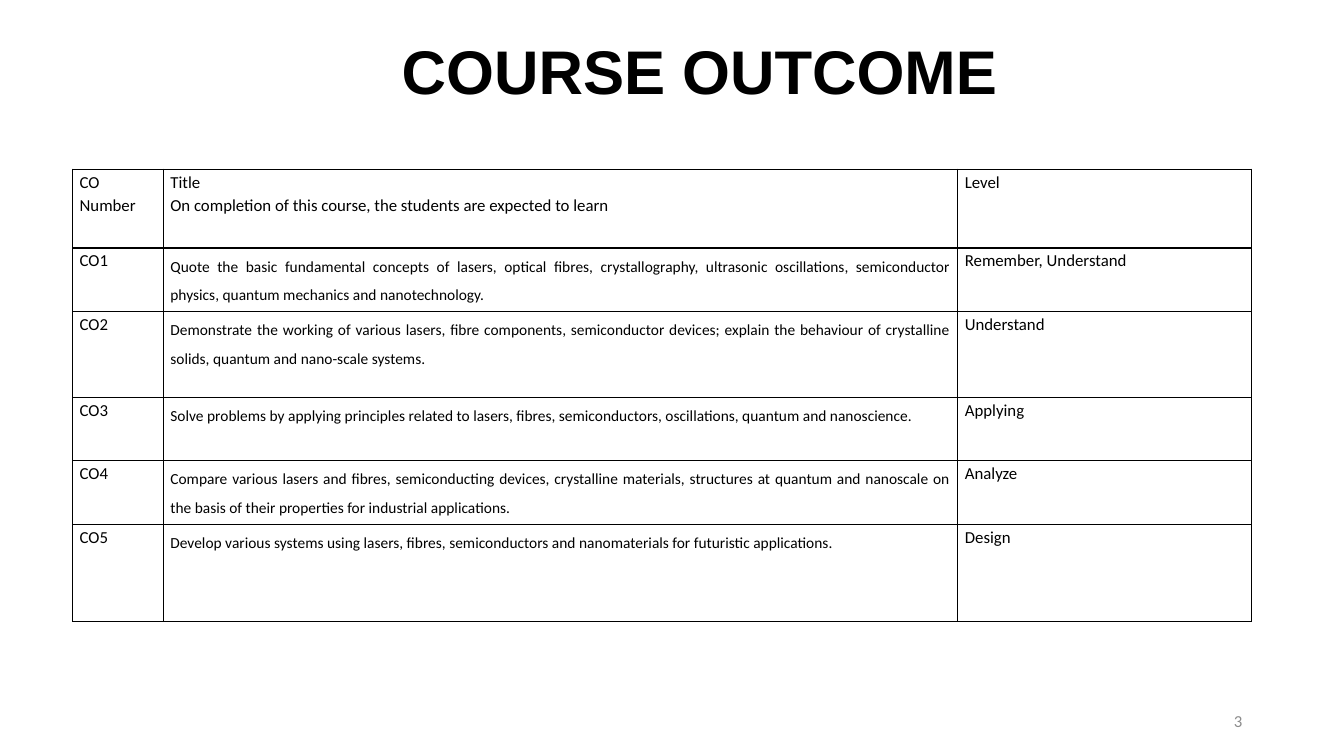
from lxml import etree
from pptx import Presentation
from pptx import util as u
from pptx.dml.color import RGBColor
from pptx.enum import text
from pptx.oxml import ns

BLACK = RGBColor(0, 0, 0)
GREY = RGBColor(0x8C, 0x8C, 0x8C)
COLS = [90, 788, 291]
ROWS = [78, 63, 85, 63, 63, 97]
HEAD = ["CO Number",
        "Title\nOn completion of this course, the students are expected to learn",
        "Level"]
GOALS = [
    ("Quote the basic fundamental concepts of lasers, optical fibres, "
     "crystallography, ultrasonic oscillations, semiconductor physics, "
     "quantum mechanics and nanotechnology.", "Remember, Understand"),
    ("Demonstrate the working of various lasers, fibre components, "
     "semiconductor devices; explain the behaviour of crystalline solids, "
     "quantum and nano-scale systems.", "Understand"),
    ("Solve problems by applying principles related to lasers, fibres, "
     "semiconductors, oscillations, quantum and nanoscience.", "Applying"),
    ("Compare various lasers and fibres, semiconducting devices, crystalline "
     "materials, structures at quantum and nanoscale on the basis of their "
     "properties for industrial applications.", "Analyze"),
    ("Develop various systems using lasers, fibres, semiconductors and "
     "nanomaterials for futuristic applications.", "Design"),
]


def px(n):
    return u.Emu(n * 9144)


def write(frame, words, size=12, font="Calibri", color=BLACK, bold=False,
          align=text.PP_ALIGN.LEFT, line=1.0):
    frame.word_wrap = True
    frame.text = words
    for para in frame.paragraphs:
        para.alignment = align
        para.line_spacing = line
        for run in para.runs:
            run.font.size = u.Pt(size)
            run.font.name = font
            run.font.bold = bold
            run.font.color.rgb = color


def border(cell):
    props = cell._tc.get_or_add_tcPr()
    for spot, side in enumerate(("lnL", "lnR", "lnT", "lnB")):
        edge = etree.Element(ns.qn("a:" + side), w=str(u.Pt(1)))
        fill = etree.SubElement(edge, ns.qn("a:solidFill"))
        etree.SubElement(fill, ns.qn("a:srgbClr"), val=str(BLACK))
        props.insert(spot, edge)


def fill_cell(cell, words, **style):
    cell.margin_left = cell.margin_right = px(7)
    cell.margin_top = cell.margin_bottom = 0
    cell.vertical_anchor = text.MSO_ANCHOR.TOP
    cell.fill.background()
    border(cell)
    write(cell.text_frame, words, **style)


def add_title(slide, words):
    title = slide.shapes.title
    title.left, title.top, title.width, title.height = map(px, (229, 28, 930, 125))
    frame = title.text_frame
    frame.auto_size = text.MSO_AUTO_SIZE.NONE
    frame.vertical_anchor = text.MSO_ANCHOR.TOP
    write(frame, words, size=44, font="Arial", bold=True,
          align=text.PP_ALIGN.CENTER)


def add_grid(slide):
    data = [HEAD] + [[f"CO{n}", goal, level]
                     for n, (goal, level) in enumerate(GOALS, 1)]
    shape = slide.shapes.add_table(len(ROWS), len(COLS), px(72), px(168),
                                   px(sum(COLS)), px(sum(ROWS)))
    table = shape.table
    table.first_row = table.horz_banding = False
    for col, width in zip(table.columns, COLS):
        col.width = px(width)
    for r, (row, height) in enumerate(zip(table.rows, ROWS)):
        row.height = px(height)
        for c, cell in enumerate(row.cells):
            style = dict(line=1.15)
            if r and c == 1:
                style = dict(size=11, line=1.5, align=text.PP_ALIGN.JUSTIFY)
            fill_cell(cell, data[r][c], **style)


def add_page(slide, words):
    box = slide.shapes.add_textbox(px(942), px(695), px(300), px(40))
    box.text_frame.vertical_anchor = text.MSO_ANCHOR.MIDDLE
    write(box.text_frame, words, color=GREY, align=text.PP_ALIGN.RIGHT)


def main():
    deck = Presentation()
    deck.slide_width, deck.slide_height = px(1333), px(750)
    slide = deck.slides.add_slide(deck.slide_layouts[5])
    add_title(slide, "COURSE OUTCOME")
    add_grid(slide)
    add_page(slide, "3")
    deck.save("out.pptx")


if __name__ == "__main__":
    main()
